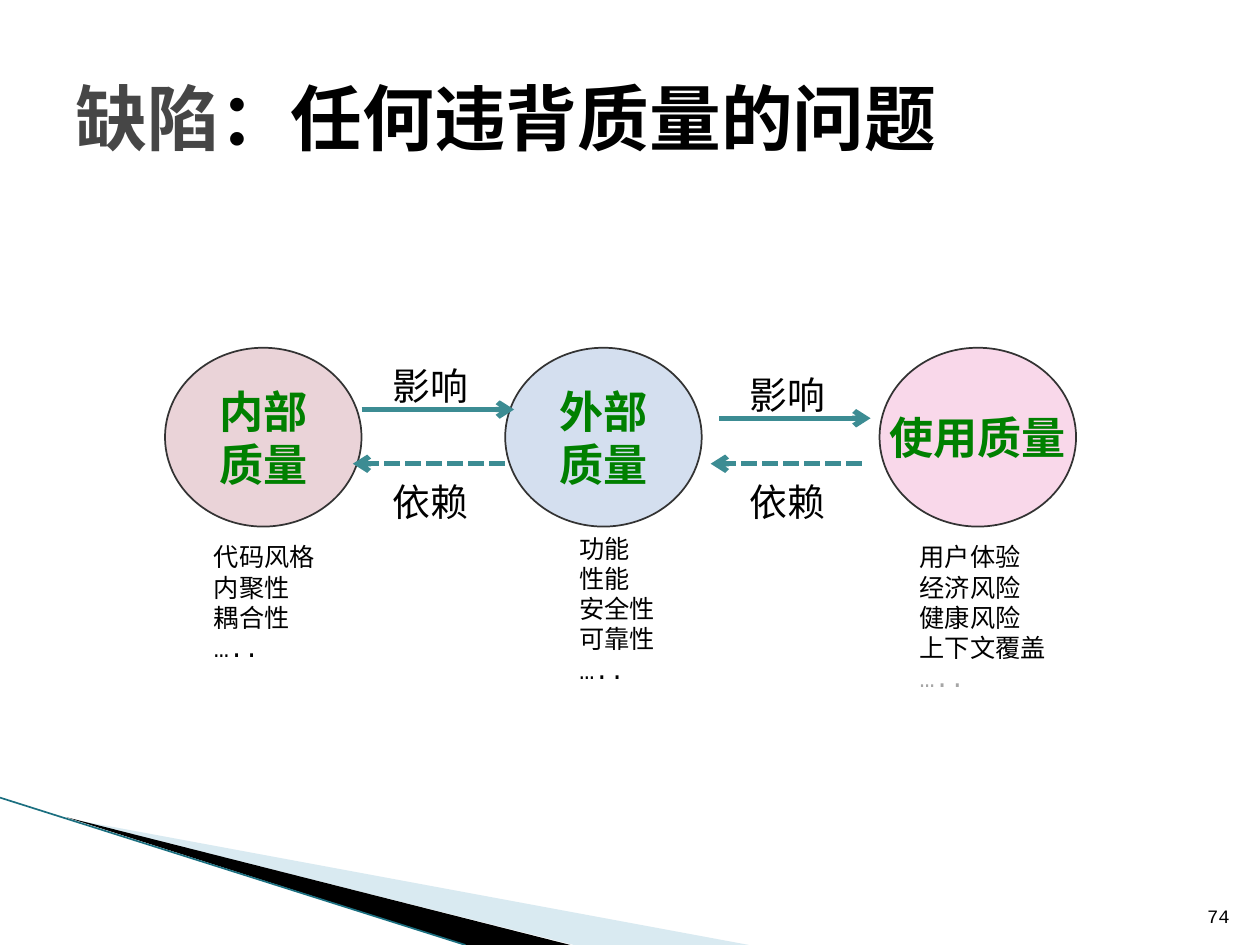
from dataclasses import dataclass

from lxml import etree
from pptx import Presentation
from pptx.dml.color import RGBColor
from pptx.enum.dml import MSO_LINE
from pptx.enum.shapes import MSO_CONNECTOR, MSO_SHAPE
from pptx.enum.text import MSO_ANCHOR, PP_ALIGN
from pptx.oxml.ns import qn
from pptx.util import Pt

OVAL = MSO_SHAPE.OVAL
STRAIGHT = MSO_CONNECTOR.STRAIGHT
DASHED = MSO_LINE.SQUARE_DOT
TOP, MIDDLE, BOTTOM = MSO_ANCHOR.TOP, MSO_ANCHOR.MIDDLE, MSO_ANCHOR.BOTTOM
LEFT, CENTER, RIGHT = PP_ALIGN.LEFT, PP_ALIGN.CENTER, PP_ALIGN.RIGHT

BLACK = RGBColor(0x00, 0x00, 0x00)
TITLE_GRAY = RGBColor(0x46, 0x46, 0x46)
FADED_GRAY = RGBColor(0xA6, 0xA6, 0xA6)
OUTLINE = RGBColor(0x33, 0x33, 0x33)
GREEN = RGBColor(0x00, 0x80, 0x00)
ROSE = RGBColor(0xEA, 0xD3, 0xD8)
BLUE = RGBColor(0xD4, 0xDF, 0xEF)
PINK = RGBColor(0xF9, 0xD8, 0xEA)
TEAL = RGBColor(0x3C, 0x8C, 0x93)
EDGE_TEAL = RGBColor(0x1B, 0x6F, 0x80)
PALE_BLUE = RGBColor(0xA0, 0xCB, 0xDC)

FONT = "Courier New"
CIRCLE_TOP, CIRCLE_WIDTH, CIRCLE_HEIGHT = 198.7, 112.3, 102.2
LABEL_WIDTH, LABEL_HEIGHT = 57.6, 33
DEPENDENCY_Y = 265


@dataclass(frozen=True)
class Quality:
    name: str
    left: float
    fill: RGBColor
    aspects: str
    aspects_left: float
    aspects_top: float
    aspects_width: float
    ellipsis_color: RGBColor = BLACK


@dataclass(frozen=True)
class Relation:
    label: str
    start: float
    end: float
    y: float
    label_left: float
    label_top: float
    dashed: bool = False


QUALITIES = [
    Quality("内部\n质量", 94.3, ROSE, "代码风格\n内聚性\n耦合性", 115.2, 306, 76.3),
    Quality("外部\n质量", 288.7, BLUE, "功能\n性能\n安全性\n可靠性", 324, 301, 66.2),
    Quality("使用质量", 502.6, PINK, "用户体验\n经济风险\n健康风险\n上下文覆盖",
            518.4, 306, 92.2, FADED_GRAY),
]

RELATIONS = [
    Relation("影响", 206.6, 293.8, 234, 217.4, 203.8),
    Relation("影响", 411.1, 497.5, 239, 421.2, 208.8),
    Relation("依赖", 288.7, 201.6, DEPENDENCY_Y, 217.4, 270),
    Relation("依赖", 492.5, 406.1, DEPENDENCY_Y, 421.2, 270, dashed=True),
]


def write(frame, text: str, *, size: float, color: RGBColor = BLACK,
          bold: bool = False, align=LEFT, anchor=TOP, wrap: bool = True,
          ending: str = "", ending_color: RGBColor = BLACK) -> None:
    frame.word_wrap = wrap
    frame.vertical_anchor = anchor
    pieces = [(text, color), (ending, ending_color)]
    paragraph = frame.paragraphs[0]
    paragraph.alignment = align
    for piece, piece_color in pieces:
        for index, line in enumerate(piece.split("\n")):
            if index:
                paragraph = frame.add_paragraph()
                paragraph.alignment = align
            if not line:
                continue
            run = paragraph.add_run()
            run.text = line
            run.font.name = FONT
            run.font.size = Pt(size)
            run.font.bold = bold
            run.font.color.rgb = piece_color
            east_asian = etree.SubElement(run.font._element, qn("a:ea"))
            east_asian.set("typeface", FONT)


def add_text(slide, left: float, top: float, width: float, height: float,
             text: str, **text_format) -> None:
    box = slide.shapes.add_textbox(Pt(left), Pt(top), Pt(width), Pt(height))
    write(box.text_frame, text, **text_format)


def add_line(slide, start: tuple[float, float], end: tuple[float, float],
             color: RGBColor, width: float, dashed: bool = False,
             arrow: bool = False) -> None:
    connector = slide.shapes.add_connector(
        STRAIGHT, *(Pt(value) for value in (*start, *end)))
    connector.line.color.rgb = color
    connector.line.width = Pt(width)
    if dashed:
        connector.line.dash_style = DASHED
    if arrow:
        head = etree.SubElement(connector.line._get_or_add_ln(), qn("a:tailEnd"))
        head.set("type", "arrow")
    etree.SubElement(connector._element.spPr, qn("a:effectLst"))


def add_wedge(slide, corners: list[tuple[float, float]], color: RGBColor,
              opacity: int = 100) -> None:
    builder = slide.shapes.build_freeform(*corners[0], scale=Pt(1))
    builder.add_line_segments(corners[1:], close=True)
    wedge = builder.convert_to_shape()
    wedge.shadow.inherit = False
    wedge.fill.solid()
    wedge.fill.fore_color.rgb = color
    wedge.line.fill.background()
    if opacity < 100:
        tint = wedge._element.spPr.find(f"{qn('a:solidFill')}/{qn('a:srgbClr')}")
        etree.SubElement(tint, qn("a:alpha")).set("val", str(opacity * 1000))


def add_quality(slide, quality: Quality) -> None:
    circle = slide.shapes.add_shape(OVAL, Pt(quality.left), Pt(CIRCLE_TOP),
                                    Pt(CIRCLE_WIDTH), Pt(CIRCLE_HEIGHT))
    circle.shadow.inherit = False
    circle.fill.solid()
    circle.fill.fore_color.rgb = quality.fill
    circle.line.color.rgb = OUTLINE
    circle.line.width = Pt(1)
    write(circle.text_frame, quality.name, size=25.2, color=GREEN, bold=True,
          align=CENTER, anchor=MIDDLE, wrap=False)
    line_count = quality.aspects.count("\n") + 2
    add_text(slide, quality.aspects_left, quality.aspects_top,
             quality.aspects_width, 7.5 + 17.3 * line_count, quality.aspects,
             size=14.4, ending="\n…..", ending_color=quality.ellipsis_color)


def add_relation(slide, relation: Relation) -> None:
    add_line(slide, (relation.start, relation.y), (relation.end, relation.y),
             TEAL, 3, dashed=relation.y == DEPENDENCY_Y, arrow=True)
    add_text(slide, relation.label_left, relation.label_top, LABEL_WIDTH,
             LABEL_HEIGHT, relation.label, size=21.6, wrap=False)


def main() -> None:
    presentation = Presentation()
    presentation.slide_width, presentation.slide_height = Pt(720), Pt(540)
    slide = presentation.slides.add_slide(presentation.slide_layouts[6])

    add_wedge(slide, [(39.6, 468.4), (428.4, 540), (328.3, 540)], PALE_BLUE, 40)
    add_wedge(slide, [(38.2, 467.3), (326, 540), (266, 540)], BLACK)
    add_line(slide, (0, 455.8), (266, 540), EDGE_TEAL, 0.95)

    add_text(slide, 36, 21.6, 648, 90, "缺陷", size=41, color=TITLE_GRAY,
             bold=True, anchor=MIDDLE, ending="：任何违背质量的问题")
    add_text(slide, 681, 504.7, 28.8, 28.8, "74", size=10.8, align=RIGHT,
             anchor=BOTTOM, wrap=False)
    for quality in QUALITIES:
        add_quality(slide, quality)
    for relation in RELATIONS:
        add_relation(slide, relation)

    presentation.save("out.pptx")


if __name__ == "__main__":
    main()
